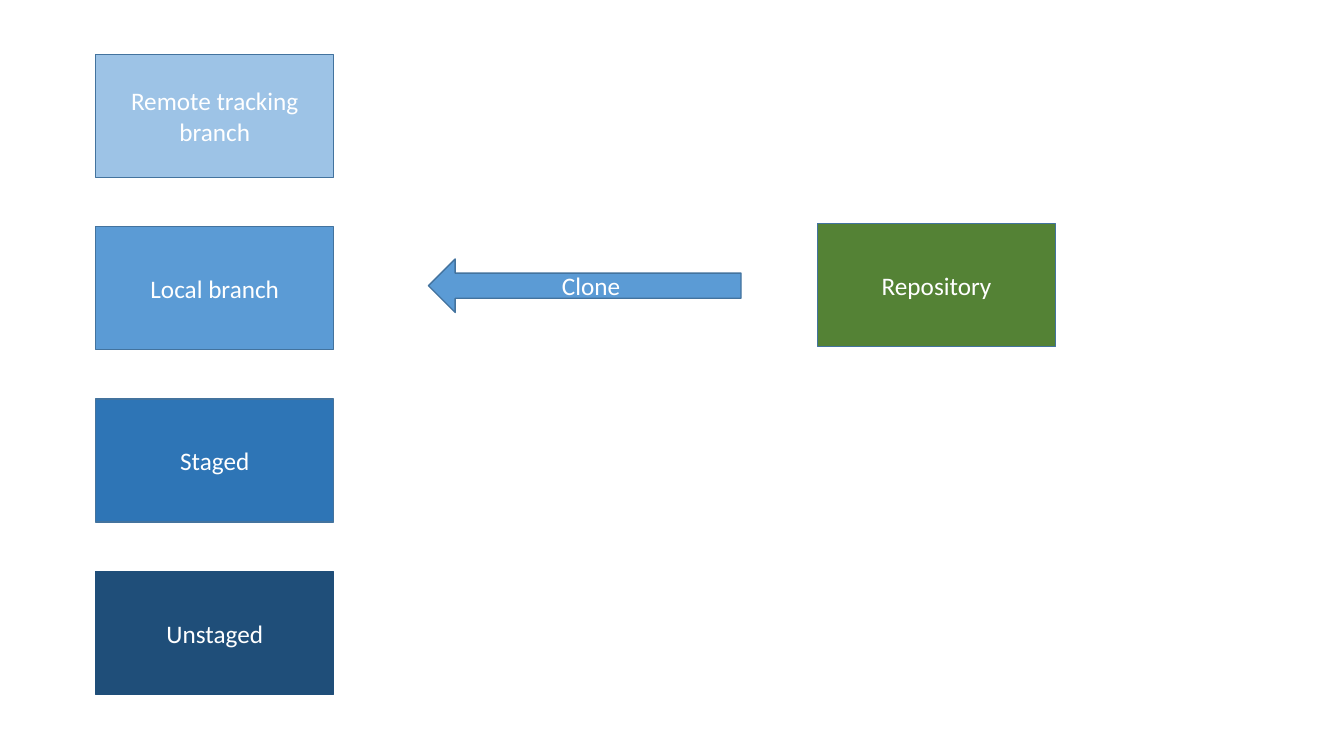
from dataclasses import dataclass

from pptx import Presentation
from pptx.dml.color import RGBColor
from pptx.enum.shapes import MSO_SHAPE
from pptx.enum.text import MSO_ANCHOR, PP_ALIGN
from pptx.util import Inches, Pt


@dataclass(frozen=True)
class Theme:
    font: str = "Calibri"
    label_size: int = 18
    line_width: int = 1
    label: str = "FFFFFF"
    outline: str = "43739E"
    remote: str = "9DC3E6"
    local: str = "5B9BD5"
    staged: str = "2E75B6"
    unstaged: str = "1F4E79"
    repository: str = "548235"


@dataclass(frozen=True)
class Box:
    left: float
    top: float
    width: float
    height: float


THEME = Theme()
STATES = [
    ("Remote tracking branch", THEME.remote, THEME.outline),
    ("Local branch", THEME.local, THEME.outline),
    ("Staged", THEME.staged, THEME.outline),
    ("Unstaged", THEME.unstaged, THEME.unstaged),
]


def write_text(shape, text, size=THEME.label_size, color=THEME.label, align=PP_ALIGN.CENTER):
    frame = shape.text_frame
    frame.word_wrap = True
    frame.vertical_anchor = MSO_ANCHOR.MIDDLE
    paragraph = frame.paragraphs[0]
    paragraph.alignment = align
    run = paragraph.add_run()
    run.text = text
    run.font.name = THEME.font
    run.font.size = Pt(size)
    run.font.color.rgb = RGBColor.from_string(color)


def add_labelled(slide, box, text, fill, outline=THEME.outline, preset=MSO_SHAPE.RECTANGLE):
    shape = slide.shapes.add_shape(
        preset, Inches(box.left), Inches(box.top), Inches(box.width), Inches(box.height)
    )
    shape.shadow.inherit = False
    shape.fill.solid()
    shape.fill.fore_color.rgb = RGBColor.from_string(fill)
    shape.line.color.rgb = RGBColor.from_string(outline)
    shape.line.width = Pt(THEME.line_width)
    write_text(shape, text)
    return shape


def add_local_states(slide, box, state_height):
    pitch = (box.height - state_height) / (len(STATES) - 1)
    for row, (name, fill, outline) in enumerate(STATES):
        state_box = Box(box.left, box.top + row * pitch, box.width, state_height)
        add_labelled(slide, state_box, name, fill, outline)


def add_repository(slide, box):
    add_labelled(slide, box, "Repository", THEME.repository)


def add_clone_arrow(slide, box):
    clone = add_labelled(slide, box, "Clone", THEME.local, preset=MSO_SHAPE.LEFT_ARROW)
    clone.adjustments[0] = 0.47


def main():
    presentation = Presentation()
    presentation.slide_width = Inches(13.33)
    presentation.slide_height = Inches(7.5)
    slide = presentation.slides.add_slide(presentation.slide_layouts[6])
    add_local_states(slide, Box(0.95, 0.54, 2.36, 6.35), state_height=1.22)
    add_repository(slide, Box(8.11, 2.22, 2.36, 1.22))
    add_clone_arrow(slide, Box(4.25, 2.57, 3.1, 0.53))
    presentation.save("out.pptx")


if __name__ == "__main__":
    main()
